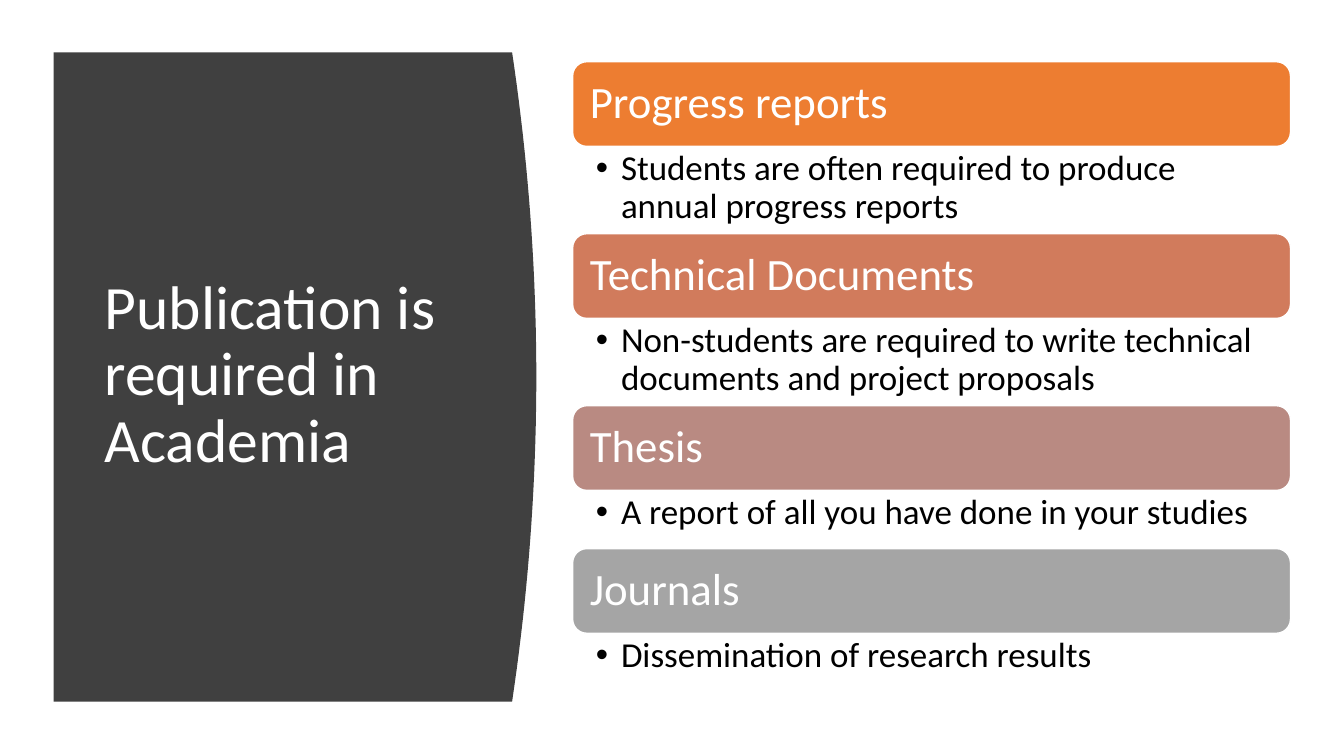
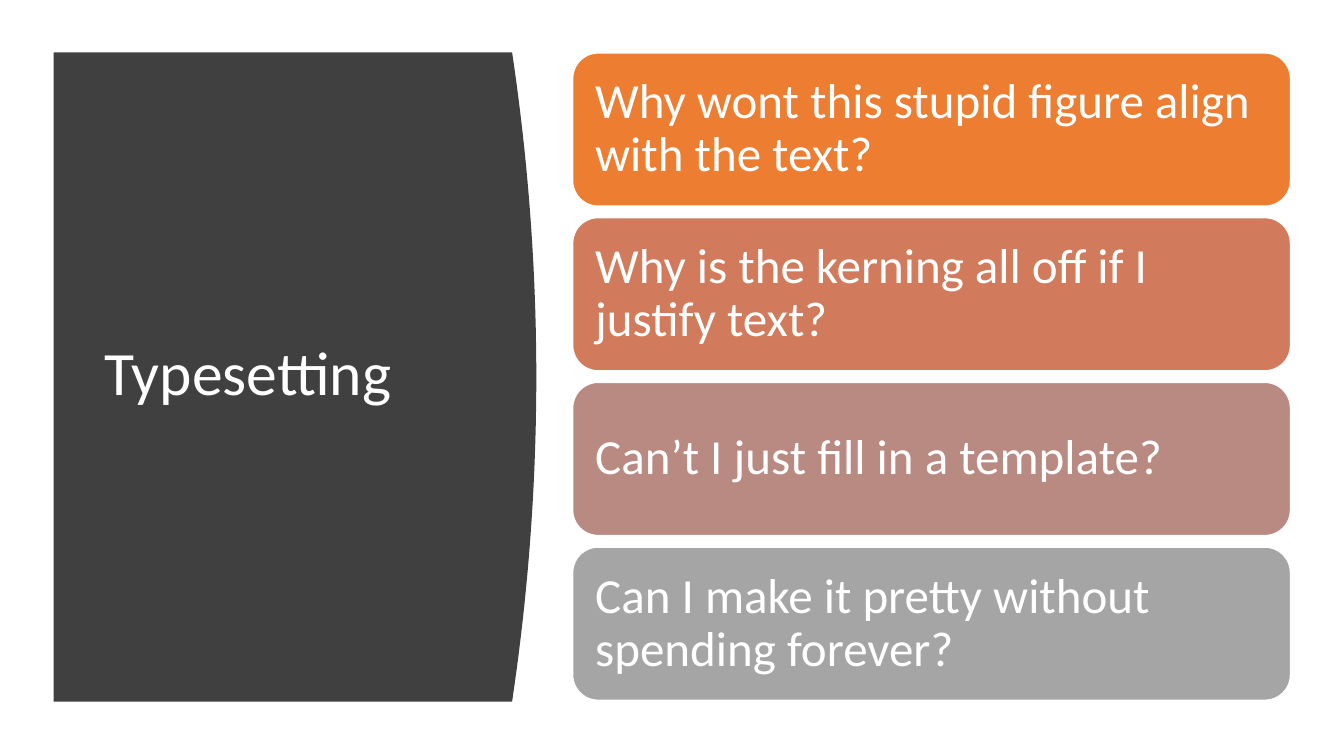
"""Build two slides that pair a curved title panel with a stack of coloured cards."""
from dataclasses import dataclass

from lxml.etree import SubElement
from pptx import Presentation
from pptx.dml.color import RGBColor
from pptx.enum.shapes import MSO_SHAPE as Preset
from pptx.enum.text import MSO_ANCHOR as Anchor, PP_ALIGN as Align
from pptx.oxml.ns import qn
from pptx.shapes.autoshape import Shape
from pptx.slide import Slide
from pptx.text.text import TextFrame, _Paragraph as Paragraph
from pptx.util import Inches, Pt

SLIDE_WIDTH, SLIDE_HEIGHT = Inches(13.33), Inches(7.5)


@dataclass(frozen=True)
class Theme:
    """Colours, type sizes and spacing that the slides share."""
    font: str = "Calibri"
    panel: str = "404040"
    light: str = "FFFFFF"
    dark: str = "000000"
    accents: tuple[str, ...] = ("ED7D31", "D17B5C", "B98A82", "A5A5A5")
    title_size: int = 44
    heading_size: int = 32
    question_size: int = 35
    note_size: int = 25
    line_spacing: float = 0.9
    outline: int = 1
    bullet_indent: float = 0.25


@dataclass(frozen=True)
class Area:
    """A rectangle in percent of the slide's width and height."""
    left: float
    top: float
    width: float
    height: float

    def emu(self) -> tuple[int, int, int, int]:
        """Return left, top, width and height in EMU."""
        return (across(self.left), down(self.top),
                across(self.width), down(self.height))


@dataclass(frozen=True)
class Card:
    """A coloured bar, with an optional bulleted note below it."""
    heading: str
    note: str = ""
    note_lines: int = 0


@dataclass(frozen=True)
class Stack:
    """The heights, gap and type of a column of cards."""
    top: float
    card_height: float
    gap: float
    size: int
    inset: float


@dataclass(frozen=True)
class Topic:
    """The content of one slide."""
    title: str
    stack: Stack
    cards: tuple[Card, ...]


THEME = Theme()
PANEL = Area(4, 6.93, 34.11, 85.87)
PANEL_BULGE = 1.8
CURVE_STEPS = 40
TITLE = Area(7.05, 14.8, 28.06, 69.87)
STACK_LEFT, STACK_WIDTH = 42.61, 53.41
NOTE_LINE = 3.85
TITLE_INSETS = (0.1, 0.05, 0.1, 0.05)
NOTE_INSETS = (0.23, 0.04, 0.25, 0.04)

TOPICS = (
    Topic(
        "Publication is required in Academia",
        Stack(8.17, 11.2, 0, THEME.heading_size, 0.13),
        (
            Card("Progress reports",
                 "Students are often required to produce annual progress reports", 2),
            Card("Technical Documents",
                 "Non-students are required to write technical documents "
                 "and project proposals", 2),
            Card("Thesis", "A report of all you have done in your studies", 1),
            Card("Journals", "Dissemination of research results", 1),
        ),
    ),
    Topic(
        "Typesetting",
        Stack(7, 20.27, 1.52, THEME.question_size, 0.15),
        (
            Card("Why wont this stupid figure align with the text?"),
            Card("Why is the kerning all off if I justify text?"),
            Card("Can’t I just fill in a template?"),
            Card("Can I make it pretty without spending forever?"),
        ),
    ),
)


def across(share: float) -> int:
    """Convert a percentage of the slide's width to EMU."""
    return round(SLIDE_WIDTH * share / 100)


def down(share: float) -> int:
    """Convert a percentage of the slide's height to EMU."""
    return round(SLIDE_HEIGHT * share / 100)


def paint(outline: Shape, colour: str) -> None:
    """Give a shape a flat fill without shadow or line."""
    outline.shadow.inherit = False
    outline.fill.solid()
    outline.fill.fore_color.rgb = RGBColor.from_string(colour)
    outline.line.fill.background()


def write(frame: TextFrame, wording: str, size: int, colour: str,
          insets: tuple[float, float, float, float], anchor: Anchor) -> Paragraph:
    """Fill a text frame with one left-aligned run."""
    frame.word_wrap = True
    frame.vertical_anchor = anchor
    (frame.margin_left, frame.margin_top,
     frame.margin_right, frame.margin_bottom) = map(Inches, insets)
    paragraph = frame.paragraphs[0]
    paragraph.alignment = Align.LEFT
    paragraph.line_spacing = THEME.line_spacing
    run = paragraph.add_run()
    run.text = wording
    run.font.name = THEME.font
    run.font.size = Pt(size)
    run.font.color.rgb = RGBColor.from_string(colour)
    return paragraph


def add_bullet(paragraph: Paragraph) -> None:
    """Turn a paragraph into a bullet with a hanging indent."""
    properties = paragraph._p.get_or_add_pPr()
    indent = Inches(THEME.bullet_indent)
    properties.set("marL", str(indent))
    properties.set("indent", str(-indent))
    SubElement(properties, qn("a:buFont"), typeface="Arial")
    SubElement(properties, qn("a:buChar"), char="•")


def draw_panel(slide: Slide, title: str) -> None:
    """Draw the panel with its bowed right edge, and the title on it."""
    left, top, width, height = PANEL.emu()
    edge = []
    for step in range(CURVE_STEPS + 1):
        progress = step / CURVE_STEPS
        bow = across(PANEL_BULGE) * (1 - (2 * progress - 1) ** 2)
        edge.append((round(left + width + bow), round(top + height * progress)))
    builder = slide.shapes.build_freeform(left, top)
    builder.add_line_segments([*edge, (left, top + height)], close=True)
    paint(builder.convert_to_shape(), THEME.panel)
    heading = slide.shapes.add_textbox(*TITLE.emu())
    write(heading.text_frame, title, THEME.title_size, THEME.light,
          TITLE_INSETS, Anchor.MIDDLE)


def draw_card(slide: Slide, card: Card, stack: Stack, top: float, colour: str) -> float:
    """Draw a card with its note and return where the next card starts."""
    area = Area(STACK_LEFT, top, STACK_WIDTH, stack.card_height)
    bar = slide.shapes.add_shape(Preset.ROUNDED_RECTANGLE, *area.emu())
    paint(bar, colour)
    bar.line.color.rgb = RGBColor.from_string(THEME.light)
    bar.line.width = Pt(THEME.outline)
    write(bar.text_frame, card.heading, stack.size, THEME.light,
          (stack.inset,) * 4, Anchor.MIDDLE)
    bottom = top + stack.card_height
    if card.note:
        note_area = Area(STACK_LEFT, bottom, STACK_WIDTH,
                         NOTE_LINE * (card.note_lines + 1))
        note = slide.shapes.add_textbox(*note_area.emu())
        add_bullet(write(note.text_frame, card.note, THEME.note_size, THEME.dark,
                         NOTE_INSETS, Anchor.TOP))
        bottom += note_area.height
    return bottom + stack.gap


def draw_topic(slide: Slide, topic: Topic) -> None:
    """Draw the title panel and the stack of cards."""
    draw_panel(slide, topic.title)
    top = topic.stack.top
    for card, colour in zip(topic.cards, THEME.accents):
        top = draw_card(slide, card, topic.stack, top, colour)


def main() -> None:
    """Build and save the presentation."""
    deck = Presentation()
    deck.slide_width, deck.slide_height = SLIDE_WIDTH, SLIDE_HEIGHT
    blank = deck.slide_layouts[6]
    for topic in TOPICS:
        draw_topic(deck.slides.add_slide(blank), topic)
    deck.save("out.pptx")


main()
